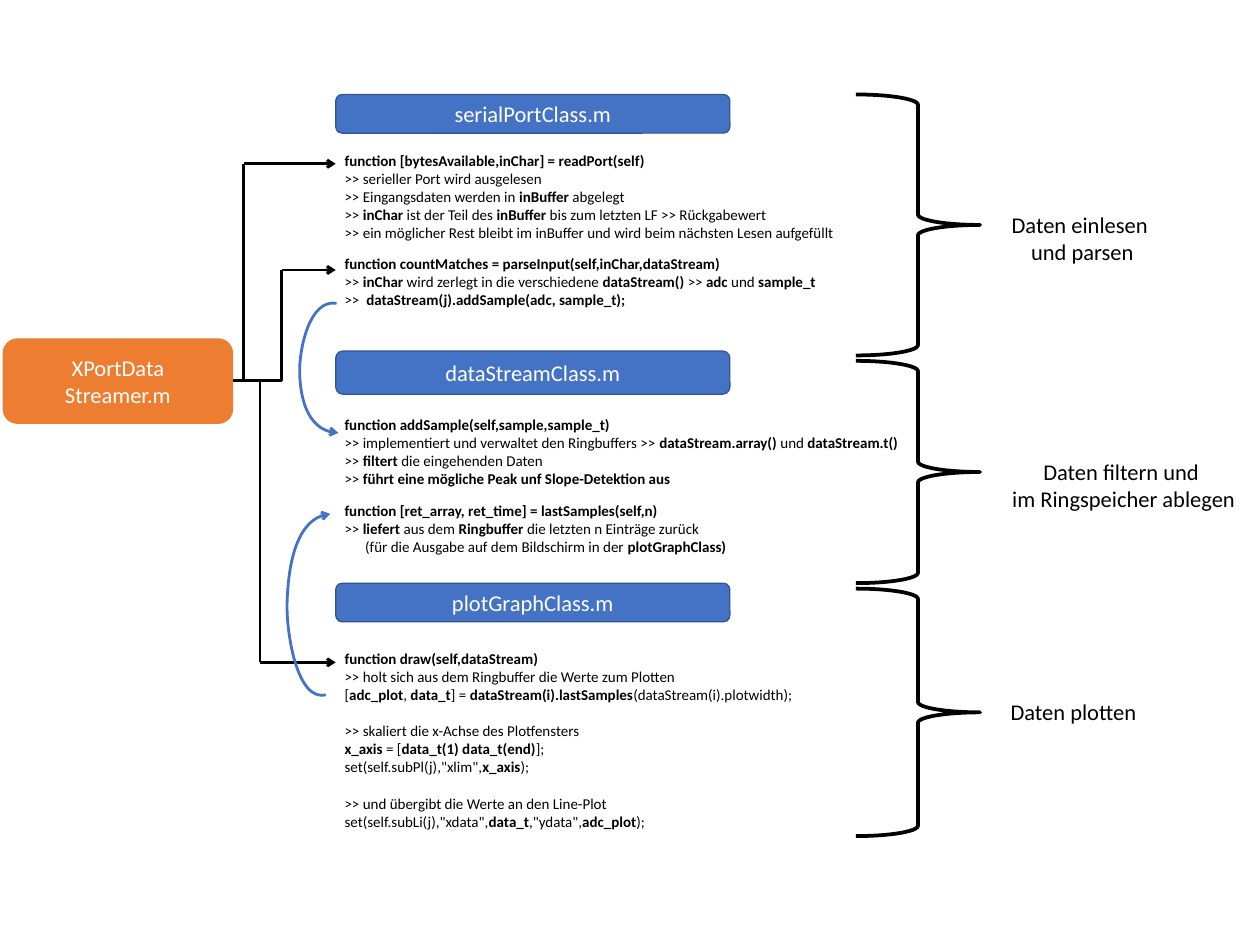
"""Draw the call structure of the data streamer and its three classes."""
from dataclasses import dataclass
from typing import NamedTuple

from lxml import etree
from pptx import Presentation
from pptx import util as u
from pptx.dml.color import RGBColor as Rgb
from pptx.enum import shapes as s
from pptx.enum import text as t
from pptx.oxml import ns

COLS, ROWS = 140, 105
WIDE, HIGH = u.Inches(14), u.Inches(10.5)
LEFT, BAR = 37.3, 43.8


@dataclass(frozen=True)
class Theme:
    """Colours, font and sizes."""
    font: str = "Calibri"
    ink: Rgb = Rgb(0, 0, 0)
    pale: Rgb = Rgb(255, 255, 255)
    blue: Rgb = Rgb(0x44, 0x72, 0xC4)
    edge: Rgb = Rgb(0x32, 0x54, 0x90)
    warm: Rgb = Rgb(0xED, 0x7D, 0x31)
    big: int = 18
    small: int = 12
    gap: float = 11
    blank: float = 14.6
    thick: float = 2.25


class Box(NamedTuple):
    """Place in grid columns and rows."""
    x: float
    y: float
    w: float
    h: float


class Para(NamedTuple):
    """Line of text with bold parts between asterisks."""
    words: str
    before: float = 0
    indent: float = 0


class Part(NamedTuple):
    """Class with its header, notes, brace and label."""
    name: str
    head: Box
    notes: Box
    lines: list[Para]
    brace: Box
    label: Box
    role: list[str]
    align: t.PP_ALIGN = t.PP_ALIGN.CENTER


T = Theme()

PARTS = [
    Part("serialPortClass.m", Box(LEFT, 10.5, BAR, 4.3), Box(LEFT, 16.3, 59.9, 22.7), [
        Para("*function [bytesAvailable,inChar] = readPort(self)*"),
        Para(">> serieller Port wird ausgelesen"),
        Para(">> Eingangsdaten werden in *inBuffer* abgelegt"),
        Para(">> *inChar* ist der Teil des *inBuffer* bis zum letzten LF >> Rückgabewert"),
        Para(">> ein möglicher Rest bleibt im inBuffer und wird beim nächsten Lesen aufgefüllt"),
        Para("*function countMatches = parseInput(self,inChar,dataStream)*", T.gap),
        Para(">> *inChar* wird zerlegt in die verschiedene *dataStream() *>> *adc *und *sample_t*"),
        Para(">>  *dataStream(j).addSample(adc, sample_t);*"),
    ], Box(95.1, 10.5, 13.8, 29), Box(111.3, 23, 17.9, 7.1), ["Daten einlesen ", "und parsen"]),
    Part("dataStreamClass.m", Box(LEFT, 39, BAR, 4.8), Box(LEFT, 45.7, 65.3, 18.7), [
        Para("*function addSample(self,sample,sample_t)*"),
        Para(">> implementiert und verwaltet den Ringbuffers >> "
             "*dataStream.array() *und *dataStream.t()*"),
        Para(">> *filtert* die eingehenden Daten"),
        Para(">> *führt eine mögliche Peak unf Slope-Detektion aus*"),
        Para("*function [ret_array, ret_time] = lastSamples(self,n)*", T.gap),
        Para(">> *liefert *aus dem *Ringbuffer *die letzten n Einträge zurück"),
        Para("(für die Ausgabe auf dem Bildschirm in der *plotGraphClass)*", indent=2.3),
    ], Box(95.1, 40.1, 13.8, 24.7), Box(111.3, 50.4, 27.1, 7.1),
        ["Daten filtern und ", "im Ringspeicher ablegen"]),
    Part("plotGraphClass.m", Box(LEFT, 64.8, BAR, 4.3), Box(LEFT, 71.7, 54.8, 21.2), [
        Para("*function draw(self,dataStream)*"),
        Para(">> holt sich aus dem Ringbuffer die Werte zum Plotten"),
        Para("[*adc_plot*, *data_t*] = *dataStream(i).lastSamples*(dataStream(i).plotwidth);"),
        Para(">> skaliert die x-Achse des Plotfensters", T.blank),
        Para("*x_axis* = [*data_t(1) data_t(end)*];"),
        Para('set(self.subPl(j),"xlim",*x_axis*);'),
        Para(">> und übergibt die Werte an den Line-Plot", T.blank),
        Para('set(self.subLi(j),"xdata",*data_t*,"ydata",*adc_plot*);'),
    ], Box(95.1, 65.4, 13.8, 27.5), Box(111.3, 77.1, 16.2, 4), ["Daten plotten"],
        t.PP_ALIGN.LEFT),
]

CALLS = [(27.1, 18.2), (31.3, 30), (28.9, 73.6)]
ROOT = (25.8, 42.3)
BENDS = [
    [(36.2, 77.2), (33, 78), (31.8, 70.3), (31.9, 67), (32, 63.7), (32.7, 57.4), (36.7, 57.1)],
    [(37.4, 33.7), (34.4, 33.2), (33.3, 38.7), (33.3, 41.1), (33.3, 43.4), (33.9, 48), (37.6, 48.1)],
]


def col(n: float) -> int:
    """Turn grid columns into a length."""
    return round(WIDE * n / COLS)


def row(n: float) -> int:
    """Turn grid rows into a length."""
    return round(HIGH * n / ROWS)


def area(box: Box) -> tuple[int, int, int, int]:
    """Turn a box into lengths."""
    return col(box.x), row(box.y), col(box.w), row(box.h)


def write(frame, lines: list[Para], size: int, ink: Rgb, align=t.PP_ALIGN.LEFT) -> None:
    """Fill a frame run by run."""
    for i, line in enumerate(lines):
        para = frame.paragraphs[0] if i == 0 else frame.add_paragraph()
        para.alignment = align
        if line.before:
            para.space_before = u.Pt(line.before)
        if line.indent:
            para._p.get_or_add_pPr().set("marL", str(col(line.indent)))
        for k, words in enumerate(line.words.split("*")):
            if words:
                run = para.add_run()
                run.text = words
                run.font.name, run.font.size = T.font, u.Pt(size)
                run.font.bold, run.font.color.rgb = k % 2 == 1, ink


def block(slide, box: Box, lines: list[Para], fill: Rgb, edge: Rgb, width: float) -> None:
    """Draw a rounded box with centred text."""
    shape = slide.shapes.add_shape(s.MSO_SHAPE.ROUNDED_RECTANGLE, *area(box))
    shape.shadow.inherit = False
    shape.fill.solid()
    shape.fill.fore_color.rgb = fill
    shape.line.color.rgb, shape.line.width = edge, u.Pt(width)
    shape.text_frame.vertical_anchor = t.MSO_ANCHOR.MIDDLE
    write(shape.text_frame, lines, T.big, T.pale, t.PP_ALIGN.CENTER)


def note(slide, box: Box, lines: list[Para], size: int, align, wrap: bool) -> None:
    """Draw plain text."""
    frame = slide.shapes.add_textbox(*area(box)).text_frame
    frame.word_wrap = wrap
    write(frame, lines, size, T.ink, align)


def brace(slide, box: Box) -> None:
    """Draw a right brace."""
    shape = slide.shapes.add_shape(s.MSO_SHAPE.RIGHT_BRACE, *area(box))
    shape.shadow.inherit = False
    shape.fill.background()
    shape.line.color.rgb, shape.line.width = T.ink, u.Pt(3)


def stroke(shape, ink: Rgb, head: bool) -> None:
    """Style a line and its arrowhead."""
    shape.line.color.rgb, shape.line.width = ink, u.Pt(T.thick)
    if head:
        etree.SubElement(shape.line._get_or_add_ln(), ns.qn("a:tailEnd"), type="arrow")


def link(slide, kind, start: tuple, end: tuple, head: bool) -> None:
    """Connect two grid points, bending once if asked."""
    line = slide.shapes.add_connector(
        kind, col(start[0]), row(start[1]), col(end[0]), row(end[1]))
    if kind == s.MSO_CONNECTOR.ELBOW:
        line._element.spPr.find(ns.qn("a:prstGeom")).set("prst", "bentConnector2")
    stroke(line, T.ink, head)
    etree.SubElement(line._element.spPr, ns.qn("a:effectLst"))


def curve(slide, dots: list[tuple]) -> None:
    """Draw an arrow through Bezier control points."""
    spots = [(col(x), row(y)) for x, y in dots]
    form = slide.shapes.build_freeform(*spots[0])
    form.add_line_segments(spots[1:], close=False)
    shape = form.convert_to_shape()
    shape.shadow.inherit = False
    shape.fill.background()
    trace = next(shape._element.iter(ns.qn("a:path")))
    legs = trace.findall(ns.qn("a:lnTo"))
    for i in range(0, len(legs), 3):
        bend = etree.SubElement(trace, ns.qn("a:cubicBezTo"))
        for leg in legs[i:i + 3]:
            bend.append(leg[0])
            trace.remove(leg)
    stroke(shape, T.blue, True)


def main() -> None:
    """Build and save the slide."""
    deck = Presentation()
    deck.slide_width, deck.slide_height = WIDE, HIGH
    slide = deck.slides.add_slide(deck.slide_layouts.get_by_name("Blank"))
    for part in PARTS:
        block(slide, part.head, [Para(part.name)], T.blue, T.edge, 1)
        note(slide, part.notes, part.lines, T.small, t.PP_ALIGN.LEFT, True)
        brace(slide, part.brace)
        note(slide, part.label, [Para(w) for w in part.role], T.big, part.align, False)
    for x, y in CALLS:
        link(slide, s.MSO_CONNECTOR.ELBOW, ROOT, (x, y), False)
        link(slide, s.MSO_CONNECTOR.STRAIGHT, (x, y), (LEFT, y), True)
    for dots in BENDS:
        curve(slide, dots)
    block(slide, Box(0.4, 37.7, 25.4, 9.3), [Para("XPortData"), Para("Streamer.m")],
          T.warm, T.warm, 1.5)
    deck.save("out.pptx")


if __name__ == "__main__":
    main()
